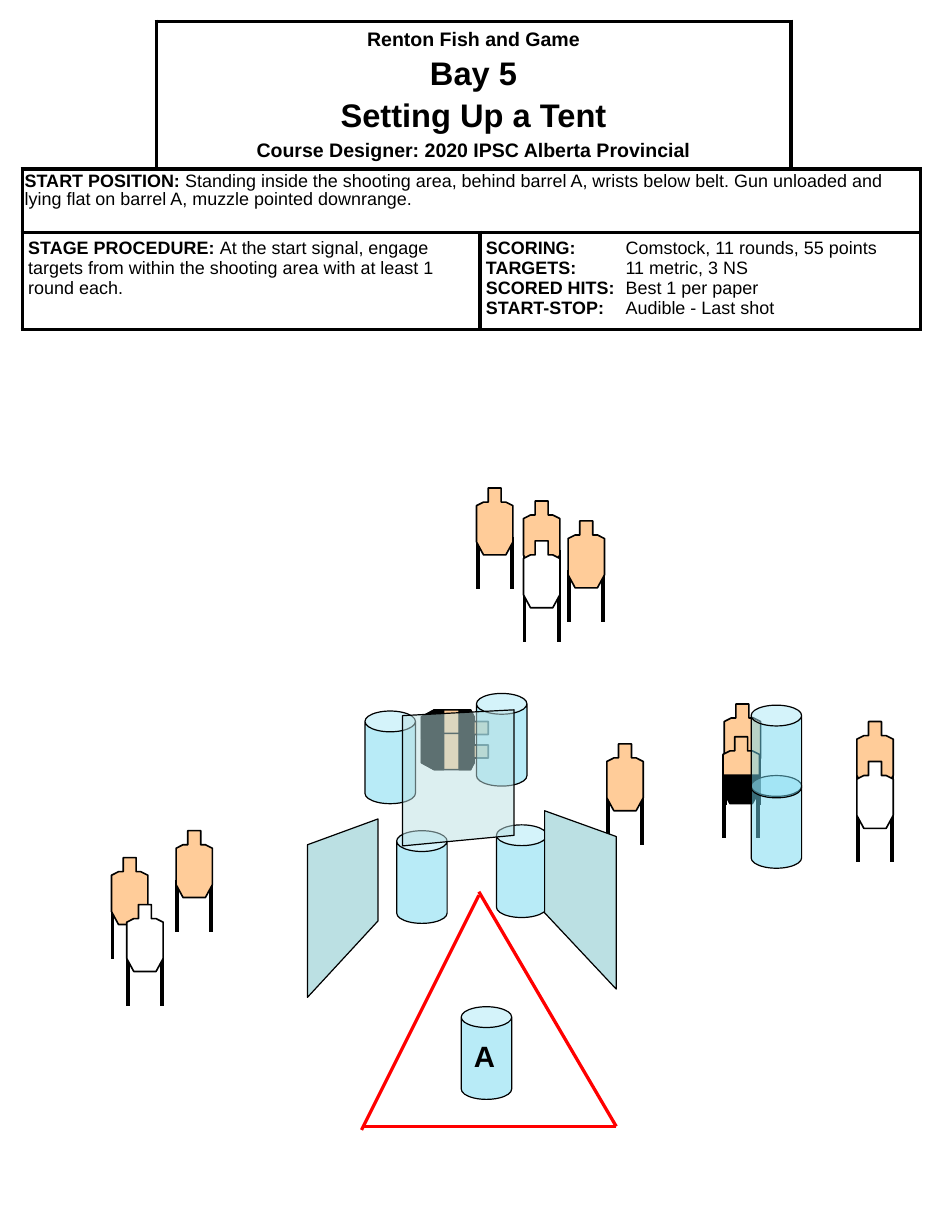
import pptx
import pptx.util
import pptx.dml.color
import pptx.enum.shapes
import pptx.enum.text
import pptx.oxml
import pptx.oxml.ns
from lxml import etree

Inches, Pt = pptx.util.Inches, pptx.util.Pt
qn = pptx.oxml.ns.qn

# ---- Content ----
TITLE = [("Renton Fish and Game", 12), ("Bay 5", 20), ("Setting Up a Tent", 20),
         ("Course Designer: 2020 IPSC Alberta Provincial", 12)]
START = [("START POSITION:", " Standing inside the shooting area, behind barrel A, wrists below "
          "belt. Gun unloaded and lying flat on barrel A, muzzle pointed downrange.")]
PROCEDURE = [("STAGE PROCEDURE: ", "At the start signal, engage targets from within the "
              "shooting area with at least 1 round each.")]
SCORING = [("SCORING:", "\tComstock, 11 rounds, 55 points"), ("TARGETS:", "\t11 metric, 3 NS"),
           ("SCORED HITS:", "\tBest 1 per paper"), ("START-STOP:", "\tAudible - Last shot")]

COLUMNS = [1.14, 2.76, 2.65, 1.1]
ROWS = [1.26, 0.54, 0.83]

TAN, WHITE, BLACK, WALL, BARREL, RED = "FFCC99", "FFFFFF", "000000", "BBE0E3", "73D9F1", "FF0000"

# Target outline and its painted areas, relative to the target's top left
OUTLINE = [(0.1, 0), (0.21, 0), (0.21, 0.12), (0.25, 0.12), (0.31, 0.15), (0.31, 0.46),
           (0.25, 0.57), (0.06, 0.57), (0, 0.46), (0, 0.15), (0.06, 0.12), (0.1, 0.12)]
CHEST = [(0.06, 0.12), (0.25, 0.12), (0.31, 0.15), (0.31, 0.25), (0, 0.25), (0, 0.15)]
BELLY = [(0, 0.38), (0.31, 0.38), (0.31, 0.46), (0.25, 0.57), (0.06, 0.57), (0, 0.46)]
HIPS = [(0, 0.32), (0.31, 0.32), (0.31, 0.46), (0.25, 0.57), (0.06, 0.57), (0, 0.46)]

LYING_TARGETS = [(4.16, 6.05), (4.16, 6.25)]  # top right corners
SHOOTING_AREA = [((4.08, 7.6), (5.25, 9.6)), ((5.25, 9.6), (3.08, 9.6)),
                 ((4.08, 7.63), (3.08, 9.63))]
FRONT_BARRELS = [(3.93, 8.58), (3.38, 7.08)]
PARTLY_HIDDEN = [(6.17, 6, TAN), (6.16, 6.28, TAN)]
STACKED_BARRELS = [(6.4, 6.61), (6.4, 6.01)]
SIDE_TARGETS = [(7.3, 6.15, TAN), (7.3, 6.49, WHITE), (0.95, 7.31, TAN), (1.08, 7.71, WHITE),
                (1.5, 7.08, TAN)]
BACK_TARGETS = [(4.84, 4.44, TAN), (5.17, 6.34, TAN), (4.06, 4.16, TAN), (4.46, 4.27, TAN),
                (4.46, 4.61, WHITE)]
BACK_BARRELS = [(4.23, 7.03), (4.06, 5.91), (3.11, 6.06)]
LEFT_WALL = [(3.22, 7.85), (2.62, 8.5), (2.62, 7.2), (3.22, 6.98)]
RIGHT_WALL = [(4.64, 7.78), (5.25, 8.43), (5.25, 7.13), (4.64, 6.91)]
FRONT_WALL = [(3.43, 6.1), (4.38, 6.05), (4.38, 7.12), (3.43, 7.21)]

prs = pptx.Presentation()
prs.slide_width, prs.slide_height = Inches(8), Inches(10.5)
shapes = prs.slides.add_slide(prs.slide_layouts[6]).shapes


def rgb(color):
    return pptx.dml.color.RGBColor.from_string(color)


def paint(sp, color, width, alpha=100):
    sp.shadow.inherit = False
    sp.fill.solid()
    sp.fill.fore_color.rgb = rgb(color)
    if alpha < 100:
        clr = sp.fill._xPr.find(qn("a:solidFill"))[0]
        etree.SubElement(clr, qn("a:alpha")).set("val", str(alpha * 1000))
    if width:
        sp.line.color.rgb = rgb(BLACK)
        sp.line.width = Pt(width)
    else:
        sp.line.fill.background()


def polygon(points, color, width, alpha=100):
    pts = [(Inches(x), Inches(y)) for x, y in points]
    fb = shapes.build_freeform(*pts[0], scale=1.0)
    fb.add_line_segments(pts[1:], close=True)
    paint(fb.convert_to_shape(), color, width, alpha)


def line(start, end, color, width):
    c = shapes.add_connector(pptx.enum.shapes.MSO_CONNECTOR.STRAIGHT,
                             *[Inches(v) for v in (*start, *end)])
    c.line.color.rgb = rgb(color)
    c.line.width = Pt(width)
    etree.SubElement(c._element.spPr, qn("a:effectLst"))


def shifted(points, x, y):
    return [(x + px, y + py) for px, py in points]


def target(x, y, color):
    for post in (x + 0.01, x + 0.3):
        line((post, y + 0.42), (post, y + 0.86), BLACK, 2.25)
    polygon(shifted(OUTLINE, x, y), color, 1)


def lying_target(right, top):
    for part, color, width in ((OUTLINE, TAN, 1), (CHEST, BLACK, 0.75), (BELLY, BLACK, 0.75)):
        polygon([(right - py, top + px) for px, py in part], color, width)


def barrel(x, y):
    sp = shapes.add_shape(pptx.enum.shapes.MSO_SHAPE.CAN, Inches(x), Inches(y),
                          Inches(0.43), Inches(0.79))
    sp.adjustments[0] = 0.413
    paint(sp, BARREL, 0.75, 50)


def style(r, size, bold):
    r.font.name, r.font.size, r.font.bold = "Arial", Pt(size), bold
    r.font.color.rgb = rgb(BLACK)


def borders(cell, sides):
    pr = cell._tc.get_or_add_tcPr()
    for i, side in enumerate("LRTB"):
        ln = etree.Element(qn("a:ln" + side), w=str(Pt(2.25)))
        if side in sides:
            fill = etree.SubElement(ln, qn("a:solidFill"))
            etree.SubElement(fill, qn("a:srgbClr")).set("val", BLACK)
        else:
            etree.SubElement(ln, qn("a:noFill"))
        pr.insert(i, ln)


def labelled(cell, rows, tab=None):
    tf = cell.text_frame
    for i, parts in enumerate(rows):
        p = tf.paragraphs[0] if i == 0 else tf.add_paragraph()
        if tab:
            tabs = etree.SubElement(p._p.get_or_add_pPr(), qn("a:tabLst"))
            etree.SubElement(tabs, qn("a:tab"), pos=str(Inches(tab)), algn="l")
        for text, bold in zip(parts, (True, False)):
            r = p.add_run()
            r.text = text
            style(r, 11, bold)


def stage_table():
    table = shapes.add_table(len(ROWS), len(COLUMNS), Inches(0.19), Inches(0.18),
                             Inches(sum(COLUMNS)), Inches(sum(ROWS))).table
    table.first_row = table.horz_banding = False
    for col, width in zip(table.columns, COLUMNS):
        col.width = Inches(width)
    for row, height in zip(table.rows, ROWS):
        row.height = Inches(height)
    for i in range(len(ROWS)):
        for j in range(len(COLUMNS)):
            cell = table.cell(i, j)
            cell.fill.solid()
            cell.fill.fore_color.rgb = rgb(WHITE)
            borders(cell, {(0, 0): "RB", (0, 3): "LB"}.get((i, j), "LRTB"))
            cell.margin_left = cell.margin_right = Inches(0.02 if i == 1 else 0.05)
            cell.margin_top = cell.margin_bottom = Inches(0.04 if i == 1 else 0.05)
    for i, first, last in ((0, 1, 2), (1, 0, 3), (2, 0, 1), (2, 2, 3)):
        table.cell(i, first).merge(table.cell(i, last))

    heading = table.cell(0, 1)
    heading.vertical_anchor = pptx.enum.text.MSO_ANCHOR.MIDDLE
    heading.text_frame.text = "\n".join(text for text, _ in TITLE)
    for i, (p, (_, size)) in enumerate(zip(heading.text_frame.paragraphs, TITLE)):
        p.alignment = pptx.enum.text.PP_ALIGN.CENTER
        if i:
            p.space_before = Pt(3.5)
        style(p.runs[0], size, True)
    labelled(table.cell(1, 0), START)
    table.cell(1, 0).text_frame.paragraphs[0].line_spacing = 0.9
    labelled(table.cell(2, 0), PROCEDURE)
    labelled(table.cell(2, 2), SCORING, tab=1.19)


# ---- Stage, from back to front ----
for spot in LYING_TARGETS:
    lying_target(*spot)
stage_table()
for start, end in SHOOTING_AREA:
    line(start, end, RED, 2)
for spot in FRONT_BARRELS:
    barrel(*spot)
for spot in PARTLY_HIDDEN:
    target(*spot)
polygon(shifted(HIPS, *PARTLY_HIDDEN[-1][:2]), BLACK, 0)
for spot in STACKED_BARRELS:
    barrel(*spot)
for spot in SIDE_TARGETS:
    target(*spot)
polygon(LEFT_WALL, WALL, 0.75)
for spot in BACK_TARGETS:
    target(*spot)
for spot in BACK_BARRELS:
    barrel(*spot)
polygon(FRONT_WALL, WALL, 0.75, 50)

# Barrel label
tf = shapes.add_textbox(Inches(3.94), Inches(8.8), Inches(0.33), Inches(0.4)).text_frame
tf.word_wrap = True
tf.text = "A"
style(tf.paragraphs[0].runs[0], 18, True)
polygon(RIGHT_WALL, WALL, 0.75)

prs.save("out.pptx")
